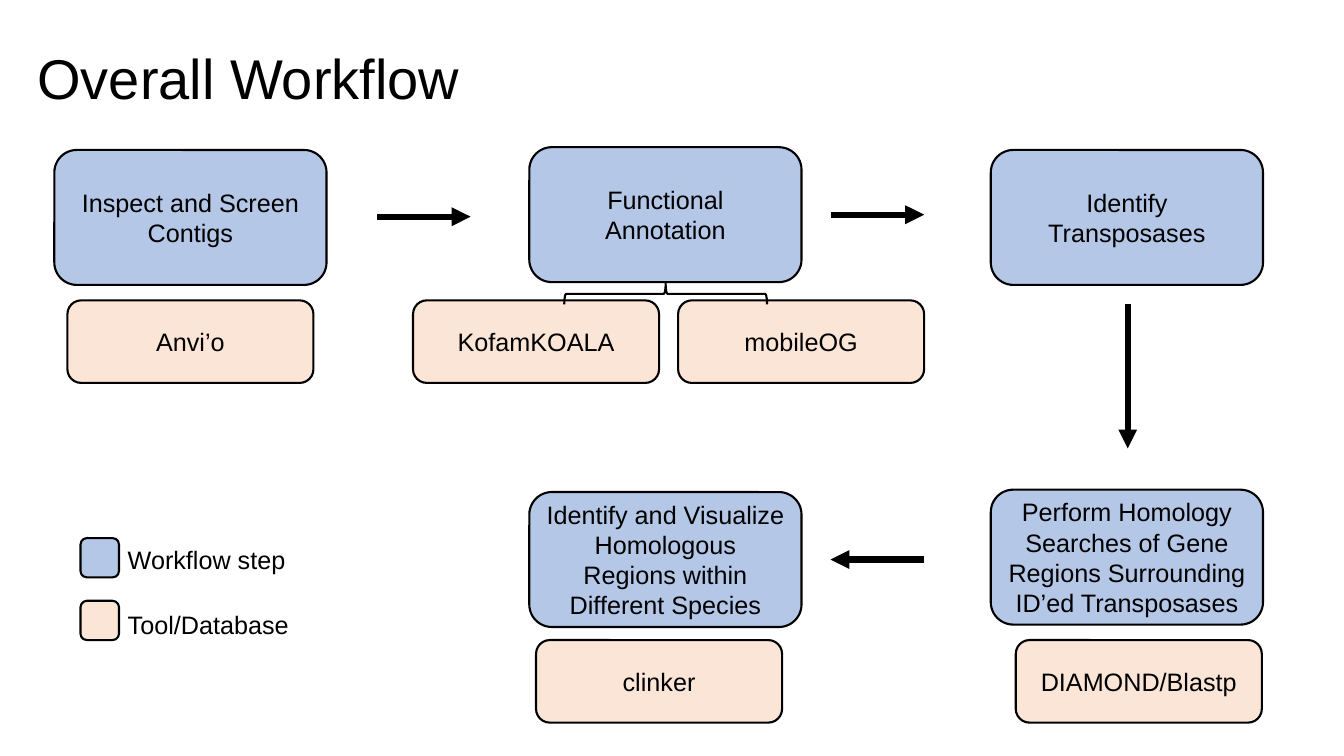
"""Build the Overall Workflow slide: steps, tools, arrows and a legend."""
from lxml import etree
from pptx import Presentation
from pptx.dml.color import RGBColor
from pptx.enum.shapes import MSO_CONNECTOR, MSO_SHAPE
from pptx.enum.text import MSO_ANCHOR, MSO_AUTO_SIZE, PP_ALIGN
from pptx.oxml.ns import qn
from pptx.util import Cm, Pt

ROUNDED = MSO_SHAPE.ROUNDED_RECTANGLE
BRACE = MSO_SHAPE.LEFT_BRACE
STRAIGHT = MSO_CONNECTOR.STRAIGHT
LEFT, CENTER = PP_ALIGN.LEFT, PP_ALIGN.CENTER
TOP, MIDDLE, BOTTOM = MSO_ANCHOR.TOP, MSO_ANCHOR.MIDDLE, MSO_ANCHOR.BOTTOM

COLORS = {"step": "B4C7E7", "tool": "FBE5D6", "ink": "000000"}
FONT = "Arial"
TITLE = "Overall Workflow"
SIZES = {"step": (6.86, 3.4), "tool": (6.2, 2.08)}
BOXES = [
    ("step", "Inspect and Screen Contigs", 1.37, 3.78),
    ("step", "Functional Annotation", 13.34, 3.71),
    ("step", "Identify Transposases", 24.97, 3.78),
    ("step", "Perform Homology Searches of Gene Regions Surrounding ID’ed Transposases",
     24.97, 12.34),
    ("step", "Identify and Visualize Homologous Regions within Different Species",
     13.34, 12.4),
    ("tool", "Anvi’o", 1.7, 7.57),
    ("tool", "KofamKOALA", 10.41, 7.57),
    ("tool", "mobileOG", 17.09, 7.57),
    ("tool", "DIAMOND/Blastp", 25.6, 16.13),
    ("tool", "clinker", 13.51, 16.13),
]
ARROWS = [
    (9.5, 5.46, 11.86, 5.46),
    (20.93, 5.41, 23.29, 5.41),
    (28.42, 7.67, 28.42, 11.3),
    (23.29, 14.1, 20.93, 14.1),
]
LEGEND = [("step", "Workflow step", 13.56, 13.59), ("tool", "Tool/Database", 15.14, 15.24)]
LEGEND_LEFT, LEGEND_TEXT_LEFT = 2.03, 2.97


def color(name):
    return RGBColor.from_string(COLORS[name])


def write(shape, text, size=18, align=LEFT, anchor=TOP, spacing=1.0):
    """Put formatted text into a shape."""
    frame = shape.text_frame
    frame.word_wrap = True
    frame.auto_size = MSO_AUTO_SIZE.NONE
    frame.vertical_anchor = anchor
    paragraph = frame.paragraphs[0]
    paragraph.alignment = align
    paragraph.line_spacing = spacing
    run = paragraph.add_run()
    run.text = text
    run.font.name = FONT
    run.font.size = Pt(size)
    run.font.color.rgb = color("ink")


def add_outlined(kind, left, top, width, height, fill=None):
    shape = slide.shapes.add_shape(kind, Cm(left), Cm(top), Cm(width), Cm(height))
    shape.shadow.inherit = False
    if fill:
        shape.fill.solid()
        shape.fill.fore_color.rgb = color(fill)
    else:
        shape.fill.background()
    shape.line.color.rgb = color("ink")
    shape.line.width = Pt(1.5)
    return shape


def add_arrow(*ends):
    arrow = slide.shapes.add_connector(STRAIGHT, *map(Cm, ends))
    arrow.line.color.rgb = color("ink")
    arrow.line.width = Pt(4.5)
    etree.SubElement(arrow.line._get_or_add_ln(), qn("a:tailEnd"), type="triangle")
    etree.SubElement(arrow._element.spPr, qn("a:effectLst"))


presentation = Presentation()
presentation.slide_width, presentation.slide_height = Cm(33.87), Cm(19.05)
slide = presentation.slides.add_slide(presentation.slide_layouts[0])
subtitle = slide.placeholders[1]._element
subtitle.getparent().remove(subtitle)

title = slide.shapes.title
title.left, title.top, title.width, title.height = map(Cm, (0.69, 0.86, 31.7, 2.08))
write(title, TITLE, size=40, anchor=BOTTOM, spacing=0.9)

for role, label, left, top in BOXES:
    box = add_outlined(ROUNDED, left, top, *SIZES[role], fill=role)
    write(box, label, align=CENTER, anchor=MIDDLE)

brace = add_outlined(BRACE, 16.51, 4.85, 0.53, 5.11)
brace.rotation = 90

for ends in ARROWS:
    add_arrow(*ends)

for role, label, key_top, text_top in LEGEND:
    add_outlined(ROUNDED, LEGEND_LEFT, key_top, 0.97, 0.99, fill=role)
    caption = slide.shapes.add_textbox(
        Cm(LEGEND_TEXT_LEFT), Cm(text_top), Cm(6.2), Cm(1.02))
    write(caption, label)

presentation.save("out.pptx")
